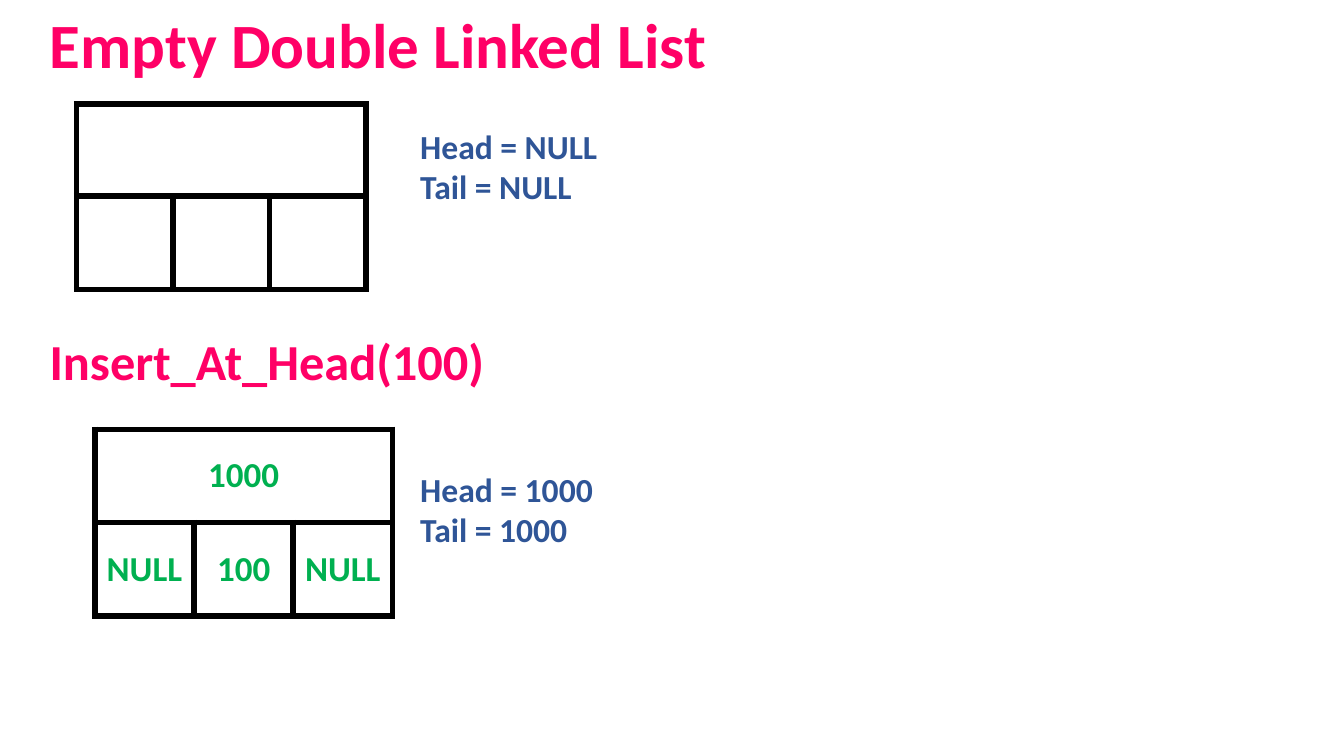
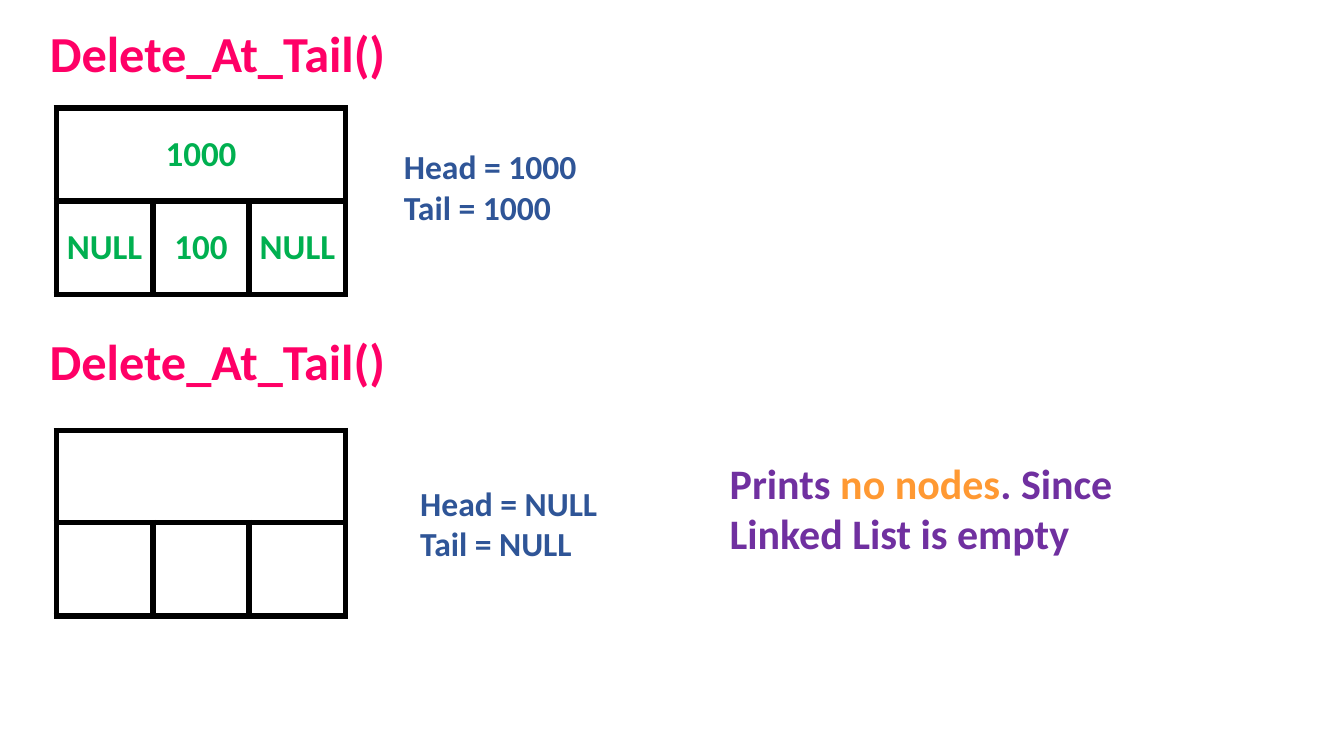
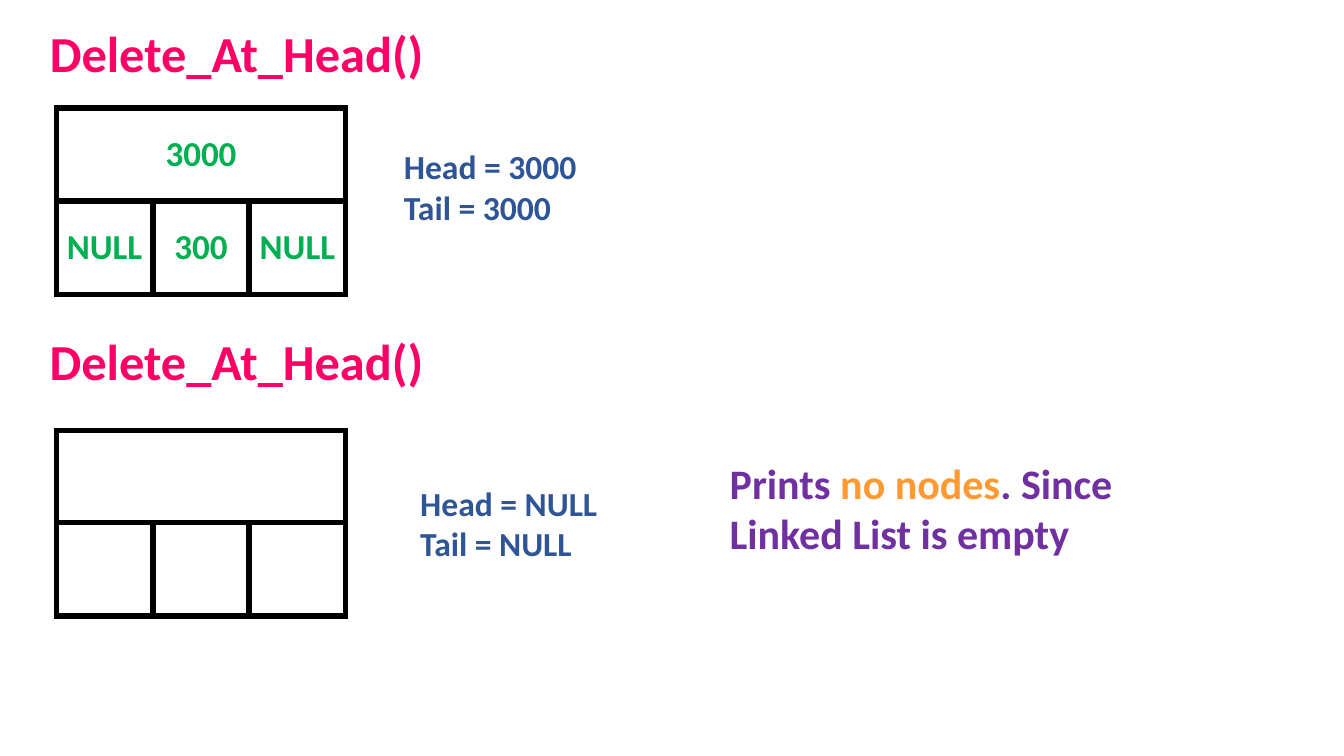
from lxml import etree
from pptx import Presentation
from pptx.dml.color import RGBColor
from pptx.enum.text import MSO_ANCHOR, MSO_AUTO_SIZE, PP_ALIGN
from pptx.oxml.ns import qn
from pptx.util import Cm, Pt

# Style
PINK = RGBColor(0xFF, 0x00, 0x66)
BLUE = RGBColor(0x2F, 0x55, 0x97)
GREEN = RGBColor(0x00, 0xB0, 0x50)
PURPLE = RGBColor(0x70, 0x30, 0xA0)
ORANGE = RGBColor(0xFF, 0x99, 0x33)
BLACK = RGBColor(0x00, 0x00, 0x00)
WHITE = RGBColor(0xFF, 0xFF, 0xFF)
FONT = "Calibri"
TITLE_ONLY = 5
TOP, MIDDLE = MSO_ANCHOR.TOP, MSO_ANCHOR.MIDDLE
LEFT, CENTER = PP_ALIGN.LEFT, PP_ALIGN.CENTER
FIT_SHAPE = MSO_AUTO_SIZE.SHAPE_TO_FIT_TEXT
BORDER = Pt(4.5)

# Common positions, in centimetres
HEADING_X, HEADING_H = 1, 1.8
SECOND_HEADING_Y = 8.2
NODE_X = 1.42
NULL_LABEL_X = 10.34
EMPTY = ("", "", "", "")


class Deck:
    """Holds the presentation, its style and the current slide."""

    def __init__(self):
        self.prs = Presentation()
        self.prs.slide_width = Cm(33.87)
        self.prs.slide_height = Cm(19.05)
        self.s = None

    def add_run(self, p, text, size, color):
        r = p.add_run()
        r.text = text
        r.font.name = FONT
        r.font.size = Pt(size)
        r.font.bold = True
        r.font.color.rgb = color

    def fill_text(self, sp, paragraphs, size):
        """Fill a shape with paragraphs, each a list of (text, color) runs."""
        tf = sp.text_frame
        tf.word_wrap = True
        tf.auto_size = FIT_SHAPE
        tf.vertical_anchor = TOP
        for i, runs in enumerate(paragraphs):
            p = tf.add_paragraph() if i else tf.paragraphs[0]
            p.alignment = LEFT
            for text, color in runs:
                self.add_run(p, text, size, color)

    def text(self, x, y, w, h, paragraphs, size):
        sp = self.s.shapes.add_textbox(Cm(x), Cm(y), Cm(w), Cm(h))
        self.fill_text(sp, paragraphs, size)

    def slide(self, title, y=0.43, w=16.94, h=HEADING_H, size=36):
        """Start a slide and place its title."""
        self.s = self.prs.slides.add_slide(self.prs.slide_layouts[TITLE_ONLY])
        sp = self.s.shapes.title
        sp.left, sp.top, sp.width, sp.height = Cm(HEADING_X), Cm(y), Cm(w), Cm(h)
        self.fill_text(sp, [[(title, PINK)]], size)

    def heading(self, text):
        self.text(HEADING_X, SECOND_HEADING_Y, 22.76, HEADING_H,
                  [[(text, PINK)]], 36)

    def pointers(self, x, y, value):
        lines = [[(f"{name} = {value}", BLUE)] for name in ("Head", "Tail")]
        self.text(x, y, 5.84, 2.31, lines, 24)

    def note(self):
        runs = [("Prints ", PURPLE), ("no nodes", ORANGE),
                (". Since Linked List is empty", PURPLE)]
        self.text(18.14, 11.4, 11.23, 2.82, [runs], 30)

    def cell_borders(self, cell):
        tc_pr = cell._tc.get_or_add_tcPr()
        for side in ("a:lnL", "a:lnR", "a:lnT", "a:lnB"):
            ln = etree.SubElement(tc_pr, qn(side), w=str(BORDER))
            fill = etree.SubElement(ln, qn("a:solidFill"))
            etree.SubElement(fill, qn("a:srgbClr"), val=str(BLACK))

    def node(self, x, y, values, col_w=2.43, top_h=2.35):
        """Draw a node: address on top, then previous, data and next."""
        row_heights = (top_h, 2.35)
        table = self.s.shapes.add_table(
            2, 3, Cm(x), Cm(y), Cm(3 * col_w), Cm(sum(row_heights))).table
        table.first_row = table.horz_banding = False
        for col in table.columns:
            col.width = Cm(col_w)
        for row, height in zip(table.rows, row_heights):
            row.height = Cm(height)
        for cell in table.iter_cells():
            self.cell_borders(cell)
            cell.fill.solid()
            cell.fill.fore_color.rgb = WHITE
            cell.vertical_anchor = MIDDLE
            cell.margin_left = cell.margin_right = Cm(0.1)
        table.cell(0, 0).merge(table.cell(0, 2))
        cells = [table.cell(0, 0)] + [table.cell(1, c) for c in range(3)]
        for cell, value in zip(cells, values):
            if value:
                p = cell.text_frame.paragraphs[0]
                p.alignment = CENTER
                self.add_run(p, value, 25, GREEN)

    def delete_slide(self, call, address, data):
        """Show a one-node list before and after its node is deleted."""
        self.slide(call)
        self.node(NODE_X, 2.72, (address, "NULL", data, "NULL"))
        self.pointers(9.93, 3.56, address)
        self.heading(call)
        self.node(NODE_X, 10.85, EMPTY, top_h=2.32)
        self.pointers(NULL_LABEL_X, 12.04, "NULL")
        self.note()


def main():
    deck = Deck()

    # Empty list and first insertion
    deck.slide("Empty Double Linked List", y=0, w=19.76, h=2.18, size=45)
    deck.node(1.93, 2.62, EMPTY, top_h=2.32)
    deck.pointers(NULL_LABEL_X, 3.05, "NULL")
    deck.heading("Insert_At_Head(100)")
    deck.node(2.39, 10.82, ("1000", "NULL", "100", "NULL"), col_w=2.5)
    deck.pointers(NULL_LABEL_X, 11.68, "1000")

    # Deletions
    deck.delete_slide("Delete_At_Tail()", "1000", "100")
    deck.delete_slide("Delete_At_Head()", "3000", "300")

    deck.prs.save("out.pptx")


if __name__ == "__main__":
    main()
